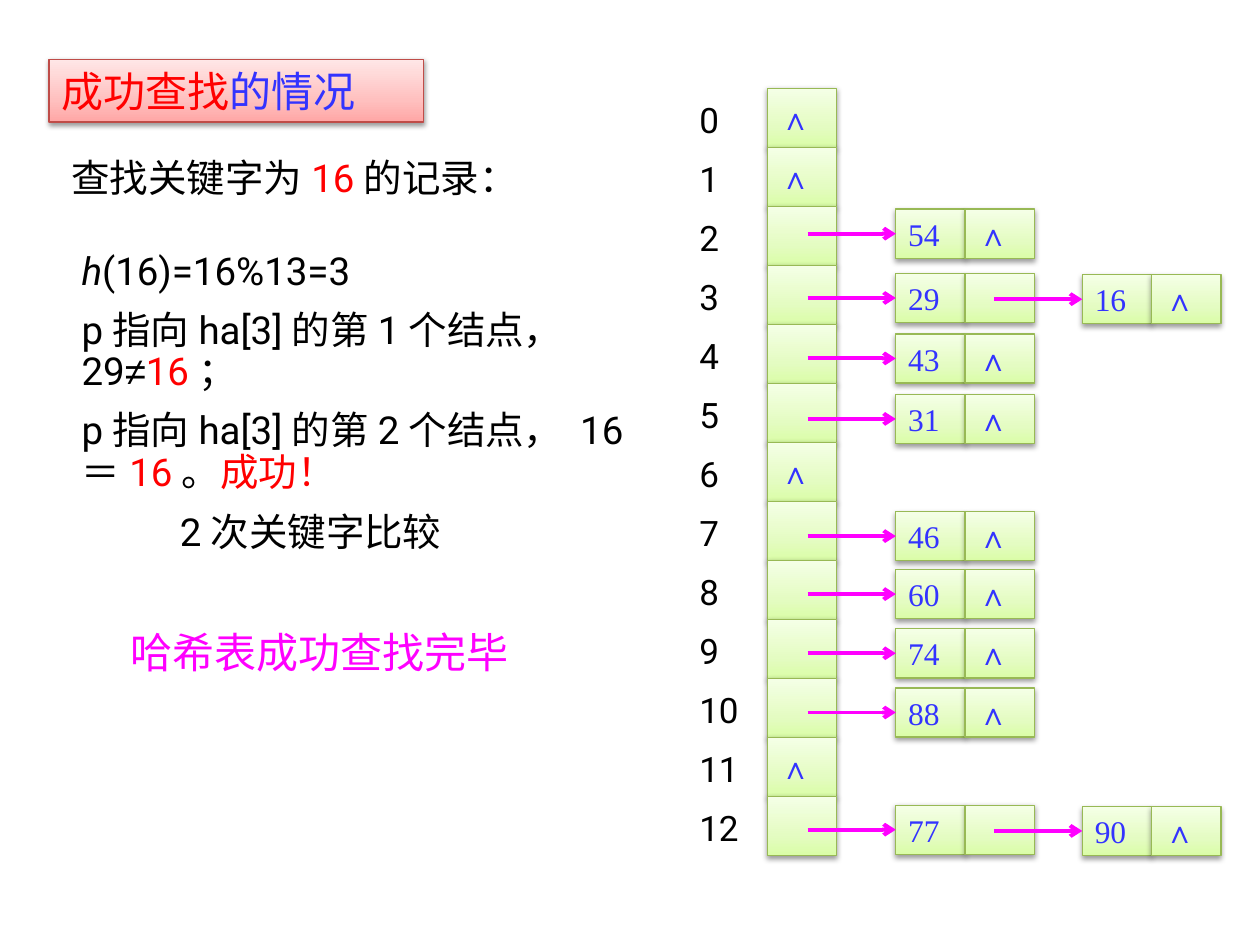
import lxml.etree
import pptx
import pptx.dml.color
import pptx.enum.shapes
import pptx.enum.text
import pptx.oxml.ns
import pptx.util

Inches = pptx.util.Inches
Pt = pptx.util.Pt
RGBColor = pptx.dml.color.RGBColor
qn = pptx.oxml.ns.qn
Anchor = pptx.enum.text.MSO_ANCHOR
AutoSize = pptx.enum.text.MSO_AUTO_SIZE

BLACK = RGBColor(0x00, 0x00, 0x00)
RED = RGBColor(0xFF, 0x00, 0x00)
BLUE = RGBColor(0x33, 0x33, 0xFF)
MAGENTA = RGBColor(0xFF, 0x00, 0xFF)
GREEN_EDGE = RGBColor(0x98, 0xB9, 0x55)
RED_EDGE = RGBColor(0xBF, 0x4C, 0x48)
GREENS = (
    RGBColor(0xDA, 0xFD, 0xA7),
    RGBColor(0xE4, 0xFC, 0xC2),
    RGBColor(0xF5, 0xFF, 0xE7),
)
PINKS = (
    RGBColor(0xFF, 0xA6, 0xA5),
    RGBColor(0xFF, 0xC0, 0xBF),
    RGBColor(0xFF, 0xE7, 0xE7),
)

CJK = "Noto Sans CJK SC"
NIL = "∧"
ROWS = 13
TABLE_TOP = 0.7
ROW_PITCH = (6.32 - TABLE_TOP) / (ROWS - 1)
CELL_W, CELL_H, NODE_H = 0.55, 0.47, 0.39
TABLE_X, NODE_X, NODE_PITCH = 6.09, 7.11, 1.48
ARROW_LEN = 0.7

CHAINS = {
    2: (1.66, ["54"]),
    3: (2.17, ["29", "16"]),
    4: (2.65, ["43"]),
    5: (3.13, ["31"]),
    7: (4.06, ["46"]),
    8: (4.52, ["60"]),
    9: (4.99, ["74"]),
    10: (5.46, ["88"]),
    12: (6.39, ["77", "90"]),
}


class Painter:
    body = {"name": "Roboto", "size": Pt(22)}
    key = {"name": "Times New Roman", "size": Pt(18)}
    label = {"name": "Roboto", "size": Pt(20)}
    title = {"name": CJK, "size": Pt(24)}
    closing = {"name": "Roboto", "size": Pt(24)}

    def __init__(self, slide):
        self.s = slide

    def add_runs(self, tf, paragraphs, style, spacing=None):
        tf.word_wrap = True
        for i, runs in enumerate(paragraphs):
            p = tf.paragraphs[0] if i == 0 else tf.add_paragraph()
            p.alignment = pptx.enum.text.PP_ALIGN.LEFT
            p.line_spacing = spacing
            if i:
                p.space_before = Pt(10)
            for text, color, *extra in runs:
                r = p.add_run()
                r.text = text
                values = {**style, **(extra[0] if extra else {})}
                for name, value in values.items():
                    setattr(r.font, name, value)
                r.font.color.rgb = color
                ea = lxml.etree.SubElement(r.font._element, qn("a:ea"))
                ea.set("typeface", "Arial" if values["name"] == "Arial" else CJK)

    def text(self, box, paragraphs, style, spacing=None, inset=None):
        sp = self.s.shapes.add_textbox(*map(Inches, box))
        tf = sp.text_frame
        if inset is not None:
            for side in ("left", "top", "right", "bottom"):
                setattr(tf, "margin_" + side, inset)
        self.add_runs(tf, paragraphs, style, spacing)
        tf.auto_size = AutoSize.SHAPE_TO_FIT_TEXT

    def panel(self, box, colors, edge, runs, style, anchor=Anchor.MIDDLE):
        kind = pptx.enum.shapes.MSO_SHAPE.RECTANGLE
        sp = self.s.shapes.add_shape(kind, *map(Inches, box))
        sp.fill.gradient()
        sp.fill.gradient_angle = 90
        sp.line.color.rgb = edge
        sp.line.width = Pt(0.75)
        sp.shadow.inherit = False
        spPr = sp._element.spPr
        stops = spPr.find(".//" + qn("a:gsLst"))
        stops.clear()
        for pos, color in zip((0, 35, 100), colors):
            gs = lxml.etree.SubElement(stops, qn("a:gs"), pos=str(pos * 1000))
            lxml.etree.SubElement(gs, qn("a:srgbClr"), val=str(color))
        shadow = lxml.etree.SubElement(
            spPr.find(qn("a:effectLst")), qn("a:outerShdw"),
            blurRad=str(Pt(3.1)), dist=str(Pt(1.6)), dir="5400000", rotWithShape="0")
        tint = lxml.etree.SubElement(shadow, qn("a:srgbClr"), val=str(BLACK))
        lxml.etree.SubElement(tint, qn("a:alpha"), val="38000")
        sp.text_frame.vertical_anchor = anchor
        if runs:
            self.add_runs(sp.text_frame, [runs], style)

    def cell(self, x, y, h, text):
        runs = [(text, BLUE)] if text else []
        self.panel((x, y, CELL_W, h), GREENS, GREEN_EDGE, runs, self.key)

    def arrow(self, x, y):
        kind = pptx.enum.shapes.MSO_CONNECTOR.STRAIGHT
        ends = map(Inches, (x - ARROW_LEN, y, x, y))
        c = self.s.shapes.add_connector(kind, *ends)
        c.line.color.rgb = MAGENTA
        c.line.width = Pt(2.25)
        spPr = c._element.spPr
        lxml.etree.SubElement(spPr.find(qn("a:ln")), qn("a:tailEnd"), type="arrow")
        lxml.etree.SubElement(spPr, qn("a:effectLst"))

    def chain(self, top, keys):
        for i, key in enumerate(keys):
            x = NODE_X + i * NODE_PITCH
            y = top + i * 0.01
            self.cell(x, y, NODE_H, key)
            self.cell(x + CELL_W, y, NODE_H, NIL if key == keys[-1] else "")
            self.arrow(x, y + NODE_H / 2)


def main():
    prs = pptx.Presentation()
    prs.slide_width, prs.slide_height = Inches(10), Inches(7.5)
    d = Painter(prs.slides.add_slide(prs.slide_layouts[6]))

    for row in range(ROWS):
        y = TABLE_TOP + row * ROW_PITCH
        d.cell(TABLE_X, y, CELL_H, "" if row in CHAINS else NIL)
        d.text((5.55, y + 0.08, 0.47, 0.34), [[(str(row), BLACK)]], d.label, inset=0)
    for top, keys in CHAINS.values():
        d.chain(top, keys)

    d.panel((0.39, 0.47, 2.97, 0.5), PINKS, RED_EDGE,
            [("成功查找", RED), ("的情况", BLUE)], d.title, Anchor.TOP)
    d.text((0.94, 4.92, 3.67, 0.5), [[("哈希表成功查找完毕", MAGENTA)]], d.closing)
    d.text((0.47, 1.17, 4.06, 0.47),
           [[("查找关键字为", BLACK), ("16", RED), ("的记录：", BLACK)]], d.body)
    steps = [
        [("h", BLACK, {"italic": True}), ("(16)=16%13=3", BLACK)],
        [("p指向ha[3]的第1个结点，29", BLACK), ("≠", BLACK, {"name": "Arial"}),
         ("16", RED), ("；", BLACK)],
        [("p指向ha[3]的第2个结点， 16＝", BLACK), ("16", RED),
         ("。", BLACK), ("成功！", RED)],
    ]
    d.text((0.55, 1.95, 4.77, 1.8), steps, d.body, spacing=0.9)
    d.text((1.33, 3.98, 2.81, 0.47), [[("2次关键字比较", BLACK)]], d.body)

    prs.save("out.pptx")


if __name__ == "__main__":
    main()
